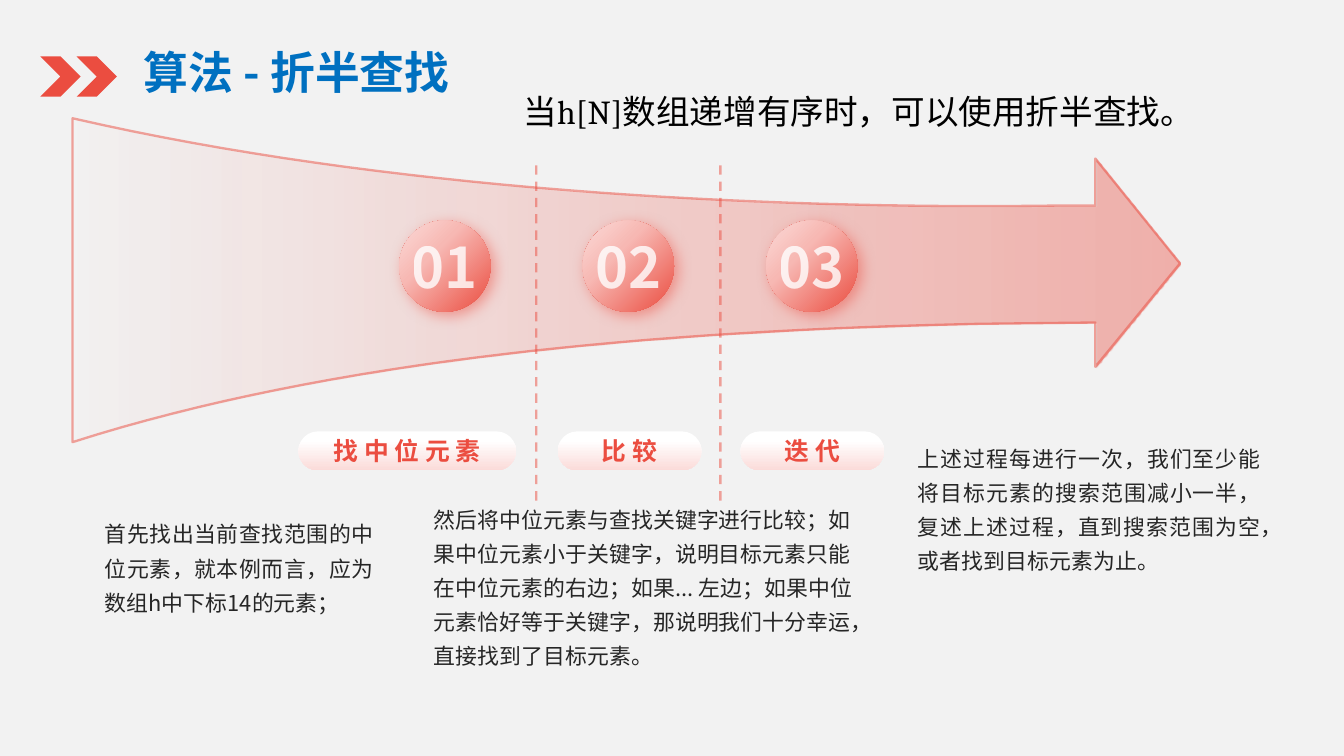
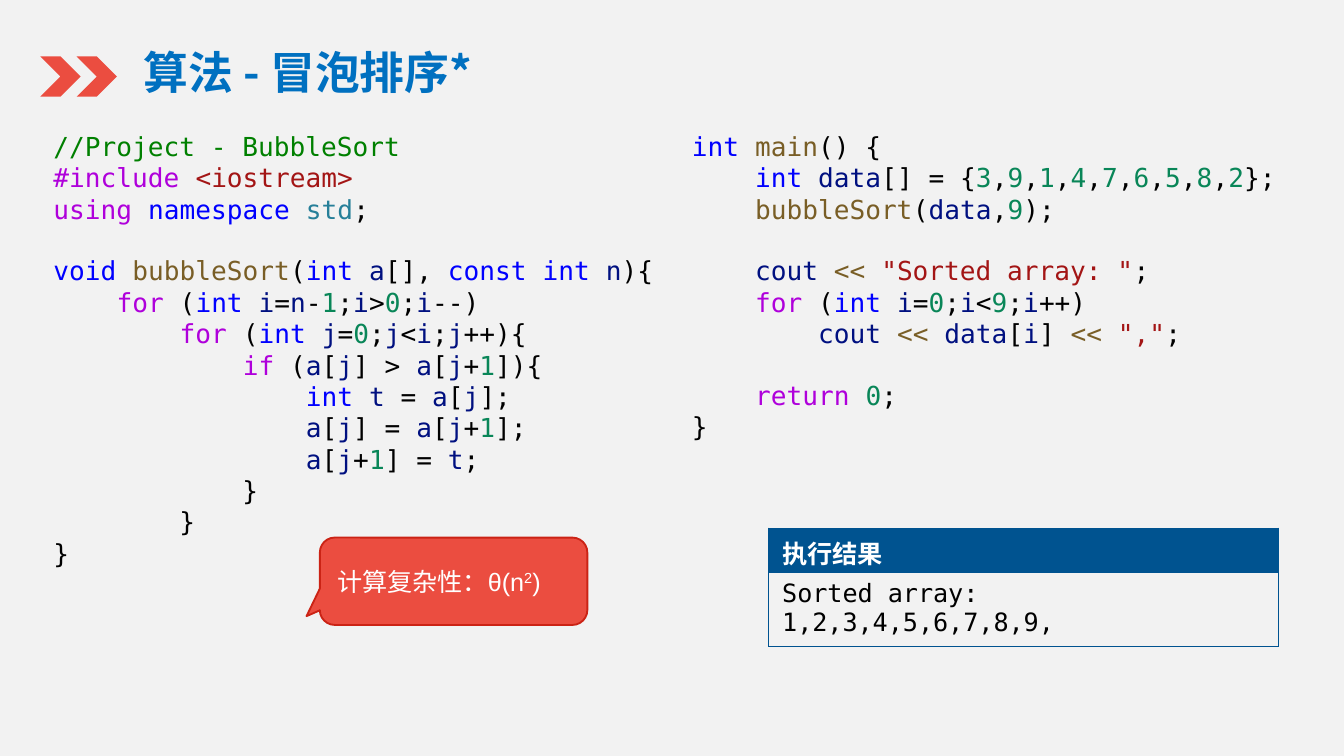
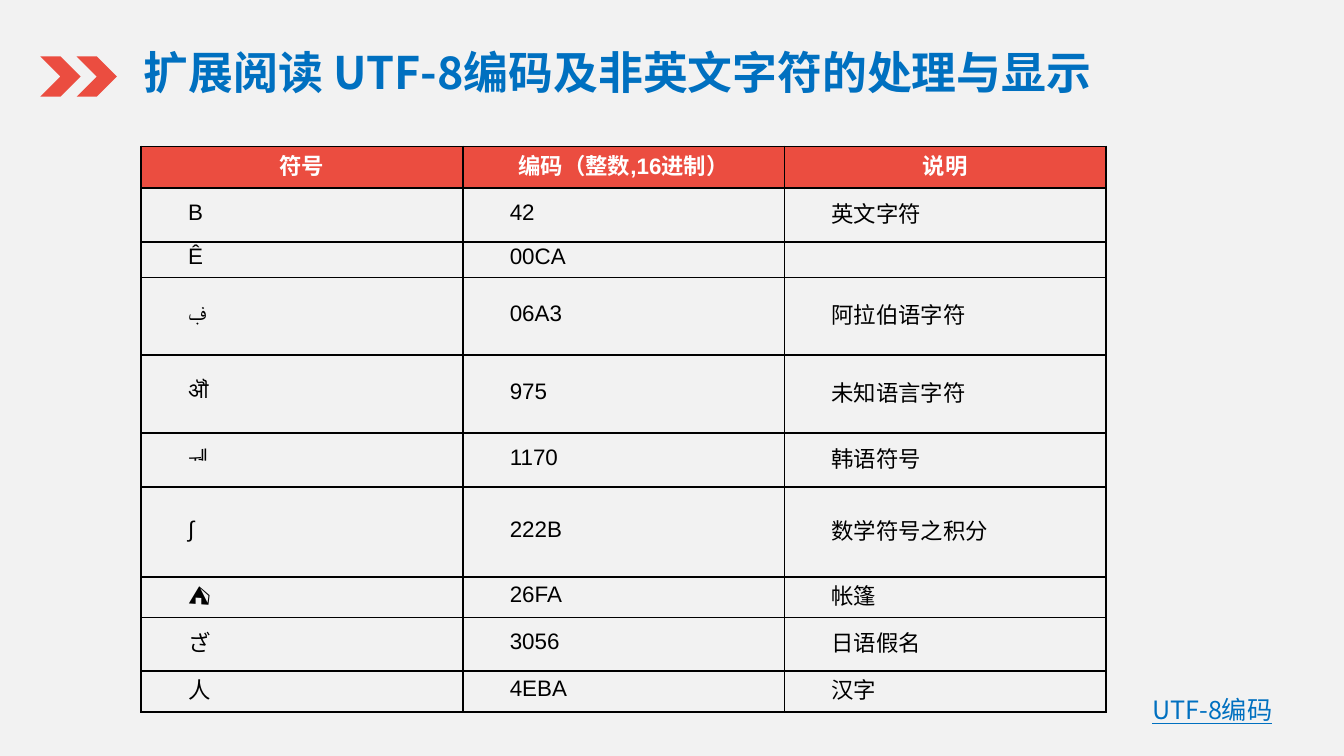
import itertools
from dataclasses import dataclass, field, replace
from typing import Any, Optional

import pptx
import pptx.dml.color
import pptx.enum.dml
import pptx.enum.shapes
import pptx.enum.text
import pptx.oxml.ns
import pptx.util
from lxml import etree

WIDTH, HEIGHT = pptx.util.Inches(10), pptx.util.Inches(5.625)
GRID_COLUMNS = 100
CELL = WIDTH // GRID_COLUMNS
RED, BLUE, NAVY, PALE, WHITE, BLACK = "EB4D40", "0070C0", "005390", "FBDBD9", "FFFFFF", "000000"
SANS, TITLE_FACE, MONO = "Noto Sans CJK SC", "Noto Sans CJK JP", "DejaVu Sans Mono"
ALIGN = pptx.enum.text.PP_ALIGN
ANCHOR = pptx.enum.text.MSO_ANCHOR
SHAPES = pptx.enum.shapes.MSO_SHAPE
qn = pptx.oxml.ns.qn


@dataclass(frozen=True)
class Area:
    left: float
    top: float
    width: float
    height: float

    def box(self) -> tuple[int, ...]:
        return tuple(grid(n) for n in (self.left, self.top, self.width, self.height))


@dataclass(frozen=True)
class Style:
    size: float
    face: str
    colour: str
    formats: dict[str, Any] = field(default_factory=dict)
    spacing: int = 0
    opacity: int = 100


@dataclass(frozen=True)
class Step:
    label: str
    pill: Area
    detail: str
    detail_area: Area
    align: Any


TITLE = Style(24, TITLE_FACE, BLUE, {"bold": True})
LEAD = Style(18, "Arial", BLACK)
NUMBER = Style(30, SANS, WHITE, {"bold": True}, opacity=80)
LABEL = Style(13.3, SANS, RED, {"bold": True}, spacing=3)
DETAIL = Style(11.7, SANS, "262626")
CODE = Style(14, MONO, BLACK)
NOTE = Style(13.5, "Arial", WHITE)
NOTE_BOLD = replace(NOTE, formats={"bold": True})
LINK = Style(13.5, TITLE_FACE, BLUE, {"underline": True})
TABLE_HEAD = Style(12, "Arial", WHITE, {"bold": True})
TABLE_BODY = Style(12, "Arial", BLACK, {"bold": False})

STEPS = [
    Step("找中位元素", Area(22.2, 32.1, 16.2, 2.9),
         "首先找出当前查找范围的中位元素，就本例而言，应为数组h中下标14的元素；",
         Area(6.8, 37.7, 22, 7), ALIGN.JUSTIFY),
    Step("比较", Area(41.5, 32.1, 10.7, 2.9),
         "然后将中位元素与查找关键字进行比较；如果中位元素小于关键字，说明目标元素只能在中位元素的右边；"
         "如果... 左边；如果中位元素恰好等于关键字，那说明我们十分幸运，直接找到了目标元素。",
         Area(31.3, 36.6, 34.4, 16.6), ALIGN.LEFT),
    Step("迭代", Area(55.1, 32.1, 10.7, 2.9),
         "上述过程每进行一次，我们至少能将目标元素的搜索范围减小一半，复述上述过程，"
         "直到搜索范围为空，或者找到目标元素为止。",
         Area(67.3, 32.1, 27.5, 7), ALIGN.JUSTIFY),
]

SORT_CODE = """//Project - BubbleSort
#include <iostream>
using namespace std;

void bubbleSort(int a[], const int n){
    for (int i=n-1;i>0;i--)
        for (int j=0;j<i;j++){
            if (a[j] > a[j+1]){
                int t = a[j];
                a[j] = a[j+1];
                a[j+1] = t;
            }
        }
}"""
MAIN_CODE = """int main() {
    int data[] = {3,9,1,4,7,6,5,8,2};
    bubbleSort(data,9);

    cout << "Sorted array: ";
    for (int i=0;i<9;i++)
        cout << data[i] << ",";

    return 0;
}"""
COMMENT, CONTROL, STRING, VARIABLE, DIGITS = "008000", "AF00DB", "A31515", "001080", "098658"
SYNTAX = {
    **dict.fromkeys(("using", "for", "if", "return"), CONTROL),
    **dict.fromkeys(("namespace", "void", "int", "const"), "0000FF"),
    **dict.fromkeys(("bubbleSort", "main", "<<"), "795E26"),
    "std": "267F99",
}

SYMBOL_HEAD = ("符号", "编码（整数,16进制）", "说明")
SYMBOLS = [
    ("B", "42", "英文字符"),
    ("Ê", "00CA", ""),
    ("ڣ", "06A3", "阿拉伯语字符"),
    ("ॵ", "975", "未知语言字符"),
    ("ᅰ", "1170", "韩语符号"),
    ("∫", "222B", "数学符号之积分"),
    ("⛺", "26FA", "帐篷"),
    ("ざ", "3056", "日语假名"),
    ("人", "4EBA", "汉字"),
]
SYMBOL_ROWS = (3.1, 4, 2.2, 5.8, 5.8, 4, 6.7, 2.2, 4, 2.2)


def grid(cells: float) -> int:
    return round(cells * CELL)


def colour(code: str) -> pptx.dml.color.RGBColor:
    return pptx.dml.color.RGBColor.from_string(code)


def apply(target: Any, formats: dict[str, Any]) -> None:
    for name, value in formats.items():
        setattr(target, name, value)


def add_colour(parent: Any, code: str, opacity: int = 100) -> None:
    node = etree.SubElement(parent, qn("a:srgbClr"), val=code)
    if opacity < 100:
        etree.SubElement(node, qn("a:alpha"), val=str(opacity * 1000))


def fade(element: Any, opacity: int) -> None:
    for node in element.iter(qn("a:srgbClr")):
        etree.SubElement(node, qn("a:alpha"), val=str(opacity * 1000))


def write(paragraph: Any, text: str, style: Style, baseline: int = 0) -> None:
    run = paragraph.add_run()
    run.text = text
    apply(run.font, {"size": pptx.util.Pt(style.size), "name": style.face, **style.formats})
    run.font.color.rgb = colour(style.colour)
    properties = run.font._rPr
    if style.opacity < 100:
        fade(properties, style.opacity)
    if "CJK" in style.face:
        properties.find(qn("a:latin")).addnext(
            etree.Element(qn("a:ea"), typeface=style.face))
    if style.spacing:
        properties.set("spc", str(style.spacing * 100))
    if baseline:
        properties.set("baseline", str(baseline * 1000))


def add_text(slide: Any, area: Area, parts: list[tuple[str, Style]],
             align: Any = ALIGN.LEFT, line_spacing: Optional[float] = None) -> Any:
    frame = slide.shapes.add_textbox(*area.box()).text_frame
    frame.word_wrap = True
    paragraph = frame.paragraphs[0]
    apply(paragraph, {"alignment": align, "line_spacing": line_spacing})
    for text, style in parts:
        write(paragraph, text, style)
    return frame


def add_plain_shape(slide: Any, kind: Any, area: Area, fill: str = RED) -> Any:
    shape = slide.shapes.add_shape(kind, *area.box())
    shape.shadow.inherit = False
    shape.fill.solid()
    shape.fill.fore_color.rgb = colour(fill)
    shape.line.fill.background()
    return shape


def set_gradient(shape: Any, stops: list[tuple[int, str, int]], clockwise: int) -> None:
    shape.fill.gradient()
    shape.fill.gradient_angle = -clockwise % 360
    stop_list = shape._element.spPr.find(f".//{qn('a:gsLst')}")
    for old in list(stop_list):
        stop_list.remove(old)
    for position, code, opacity in stops:
        stop = etree.SubElement(stop_list, qn("a:gs"), pos=str(position * 1000))
        add_colour(stop, code, opacity)


def set_line(shape: Any, code: str, width: float, opacity: int = 100) -> None:
    shape.line.color.rgb = colour(code)
    shape.line.width = pptx.util.Pt(width)
    if opacity < 100:
        fade(shape._element.spPr.find(qn("a:ln")), opacity)


def label_shape(shape: Any, text: str, style: Style, wrap: bool) -> None:
    apply(shape.text_frame, {
        "word_wrap": wrap, "vertical_anchor": ANCHOR.MIDDLE,
        **dict.fromkeys(("margin_left", "margin_top", "margin_right", "margin_bottom"), 0)})
    paragraph = shape.text_frame.paragraphs[0]
    paragraph.alignment = ALIGN.CENTER
    write(paragraph, text, style)


def start_slide(deck: Any, heading: str, heading_width: float = 39.6) -> Any:
    slide = deck.slides.add_slide(deck.slide_layouts.get_by_name("Title Only"))
    title = slide.shapes.title
    area = Area(9.7, 2.8, heading_width, 5)
    apply(title, dict(zip(("left", "top", "width", "height"), area.box())))
    apply(title.text_frame, {"word_wrap": True, "vertical_anchor": ANCHOR.TOP,
                             "auto_size": pptx.enum.text.MSO_AUTO_SIZE.NONE})
    paragraph = title.text_frame.paragraphs[0]
    paragraph.alignment = ALIGN.LEFT
    write(paragraph, heading, TITLE)
    for left in (3, 5.7):
        add_plain_shape(slide, SHAPES.CHEVRON, Area(left, 4.2, 3, 3))
    return slide


def bezier(*controls: tuple[float, float], pieces: int = 32) -> list[tuple[float, float]]:
    points = []
    for piece in range(pieces + 1):
        t = piece / pieces
        weights = ((1 - t) ** 3, 3 * t * (1 - t) ** 2, 3 * t * t * (1 - t), t ** 3)
        points.append(tuple(sum(w * c[axis] for w, c in zip(weights, controls))
                            for axis in (0, 1)))
    return points


def add_funnel_arrow(slide: Any) -> None:
    upper = bezier((5.4, 8.8), (28.4, 14.1), (56.1, 15.6), (78.6, 15.3))
    head = [(81.5, 15.3), (81.5, 11.8), (87.8, 19.6), (81.5, 27.3), (81.5, 24)]
    lower = bezier((72.8, 24.1), (48.9, 24.6), (24.8, 26.7), (5.4, 32.9))
    start, *rest = [(grid(x), grid(y)) for x, y in upper + head + lower]
    builder = slide.shapes.build_freeform(*start)
    builder.add_line_segments(rest, close=True)
    arrow = builder.convert_to_shape()
    arrow.shadow.inherit = False
    set_gradient(arrow, [(0, RED, 0), (47, RED, 20), (100, RED, 40)], 0)
    set_line(arrow, RED, 1.25, 50)


def add_divider(slide: Any, x: float) -> None:
    divider = slide.shapes.add_connector(
        pptx.enum.shapes.MSO_CONNECTOR.STRAIGHT, grid(x), grid(12.3), grid(x), grid(37.7))
    set_line(divider, RED, 1.25, 50)
    divider.line.dash_style = pptx.enum.dml.MSO_LINE.DASH
    etree.SubElement(divider._element.spPr, qn("a:effectLst"))


def add_number(slide: Any, left: float, number: int) -> None:
    ball = add_plain_shape(slide, SHAPES.OVAL, Area(left, 16.4, 6.8, 6.8))
    set_gradient(ball, [(0, RED, 100), (63, "F7B8B3", 100), (100, PALE, 100)], 225)
    glow = etree.SubElement(
        ball._element.spPr.find(qn("a:effectLst")), qn("a:outerShdw"),
        blurRad=str(pptx.util.Pt(8)), dist=str(pptx.util.Pt(3)), dir=str(45 * 60000),
        algn="tl", rotWithShape="0")
    add_colour(glow, RED, 50)
    label_shape(ball, f"{number:02}", NUMBER, False)


def build_binary_search(deck: Any) -> None:
    slide = start_slide(deck, "算法 - 折半查找")
    add_text(slide, Area(36.1, 6.3, 55.6, 4),
             [("当", LEAD), ("h[N]", replace(LEAD, face="Cambria")),
              ("数组递增有序时，可以使用折半查找。", LEAD)], ALIGN.CENTER)
    add_funnel_arrow(slide)
    for divider in range(len(STEPS) - 1):
        add_divider(slide, 39.9 + 13.7 * divider)
    for index, step in enumerate(STEPS):
        add_number(slide, 29.7 + 13.65 * index, index + 1)
        pill = add_plain_shape(slide, SHAPES.ROUNDED_RECTANGLE, step.pill)
        pill.adjustments[0] = 0.5
        set_gradient(pill, [(23, WHITE, 100), (100, PALE, 100)], 90)
        label_shape(pill, step.label, LABEL, True)
        add_text(slide, step.detail_area, [(step.detail, DETAIL)], step.align, 1.3)


def char_class(char: str) -> str:
    return "word" if char.isalnum() else "space" if char.isspace() else "sign"


def highlight(line: str) -> list[tuple[str, str]]:
    if line.startswith("//"):
        return [(line, COMMENT)]
    if line.startswith("#"):
        directive, header = line.split(" ")
        return [(directive + " ", CONTROL), (header, STRING)]
    tokens = []
    for index, part in enumerate(line.split('"')):
        if index % 2:
            tokens.append((f'"{part}"', STRING))
            continue
        for kind, chars in itertools.groupby(part, char_class):
            token = "".join(chars)
            usual = DIGITS if token.isdigit() else VARIABLE if kind == "word" else BLACK
            tokens.append((token, SYNTAX.get(token, usual)))
    return tokens


def add_code(slide: Any, area: Area, code: str) -> None:
    frame = add_text(slide, area, [])
    paragraph, after_gap = frame.paragraphs[0], False
    for number, line in enumerate(code.splitlines()):
        if not line:
            after_gap = True
            continue
        if number:
            paragraph = frame.add_paragraph()
        if after_gap:
            paragraph.space_before = pptx.util.Pt(16.3)
            after_gap = False
        for token, shade in highlight(line):
            write(paragraph, token, replace(CODE, colour=shade))


def add_grid_table(slide: Any, area: Area, columns: int, rows: tuple[float, ...]) -> Any:
    table = slide.shapes.add_table(len(rows), columns, *area.box()).table
    apply(table, {"first_row": False, "horz_banding": False})
    for column in table.columns:
        column.width = grid(area.width / columns)
    for row, height in zip(table.rows, rows):
        row.height = grid(height)
    return table


def fill_cell(cell: Any, text: str, style: Style, border: tuple[str, float],
              fill: Optional[str] = None) -> Any:
    code, width = border
    for side in ("L", "R", "T", "B"):
        edge = etree.SubElement(cell._tc.get_or_add_tcPr(), qn(f"a:ln{side}"),
                                w=str(pptx.util.Pt(width)))
        add_colour(etree.SubElement(edge, qn("a:solidFill")), code)
    if fill:
        cell.fill.solid()
        cell.fill.fore_color.rgb = colour(fill)
    else:
        cell.fill.background()
    paragraph = cell.text_frame.paragraphs[0]
    if text:
        write(paragraph, text, style)
    else:
        etree.SubElement(paragraph._p, qn("a:endParaRPr"), sz=str(style.size * 100))
    return paragraph


def build_bubble_sort(deck: Any) -> None:
    slide = start_slide(deck, "算法 - 冒泡排序*")
    add_code(slide, Area(3, 9.2, 50, 34), SORT_CODE)
    add_code(slide, Area(50.5, 9.2, 49.5, 24.6), MAIN_CODE)

    result = add_grid_table(slide, Area(57.2, 39.3, 37.9, 8), 1, (3.3, 4.8))
    fill_cell(result.cell(0, 0), "执行结果", NOTE_BOLD, (NAVY, 0.5), NAVY)
    fill_cell(result.cell(1, 0), "Sorted array: 1,2,3,4,5,6,7,8,9,",
              Style(13.5, MONO, BLACK, {"bold": False}), (NAVY, 0.5))

    complexity = add_plain_shape(slide, SHAPES.ROUNDED_RECTANGULAR_CALLOUT,
                                 Area(23.8, 40, 19.9, 6.5))
    for index, value in enumerate((-0.55, 0.4, 0.17)):
        complexity.adjustments[index] = value
    set_line(complexity, "CB2315", 1)
    complexity.text_frame.vertical_anchor = ANCHOR.MIDDLE
    formula = complexity.text_frame.paragraphs[0]
    formula.alignment = ALIGN.LEFT
    for text, baseline in (("计算复杂性：θ(n", 0), ("2", 30), (")", 0)):
        write(formula, text, NOTE, baseline)


def build_utf8(deck: Any) -> None:
    slide = start_slide(deck, "扩展阅读 UTF-8编码及非英文字符的处理与显示", 78.6)
    table = add_grid_table(slide, Area(10.5, 10.9, 71.8, 39.7), 3, SYMBOL_ROWS)
    for row, texts in enumerate([SYMBOL_HEAD, *SYMBOLS]):
        heading = row == 0
        for column, text in enumerate(texts):
            cell = table.cell(row, column)
            apply(cell, {"vertical_anchor": ANCHOR.MIDDLE,
                         "margin_left": grid(0.1 if heading else 2.1),
                         "margin_top": grid(0.1), "margin_right": grid(0.1),
                         "margin_bottom": grid(0.5)})
            paragraph = fill_cell(cell, text, TABLE_HEAD if heading else TABLE_BODY,
                                  (BLACK, 1), RED if heading else None)
            if heading:
                paragraph.alignment = ALIGN.CENTER
            else:
                apply_indent = paragraph._p.get_or_add_pPr()
                apply_indent.set("marL", str(grid(1.4)))
                apply_indent.set("indent", "0")
    add_text(slide, Area(81.9, 51.2, 16.6, 3.3), [("UTF-8编码", LINK)], ALIGN.CENTER)


def main() -> None:
    deck = pptx.Presentation()
    apply(deck, {"slide_width": WIDTH, "slide_height": HEIGHT})
    backdrop = deck.slide_master.background.fill
    backdrop.solid()
    backdrop.fore_color.rgb = colour("F2F2F2")
    build_binary_search(deck)
    build_bubble_sort(deck)
    build_utf8(deck)
    deck.save("out.pptx")


if __name__ == "__main__":
    main()
